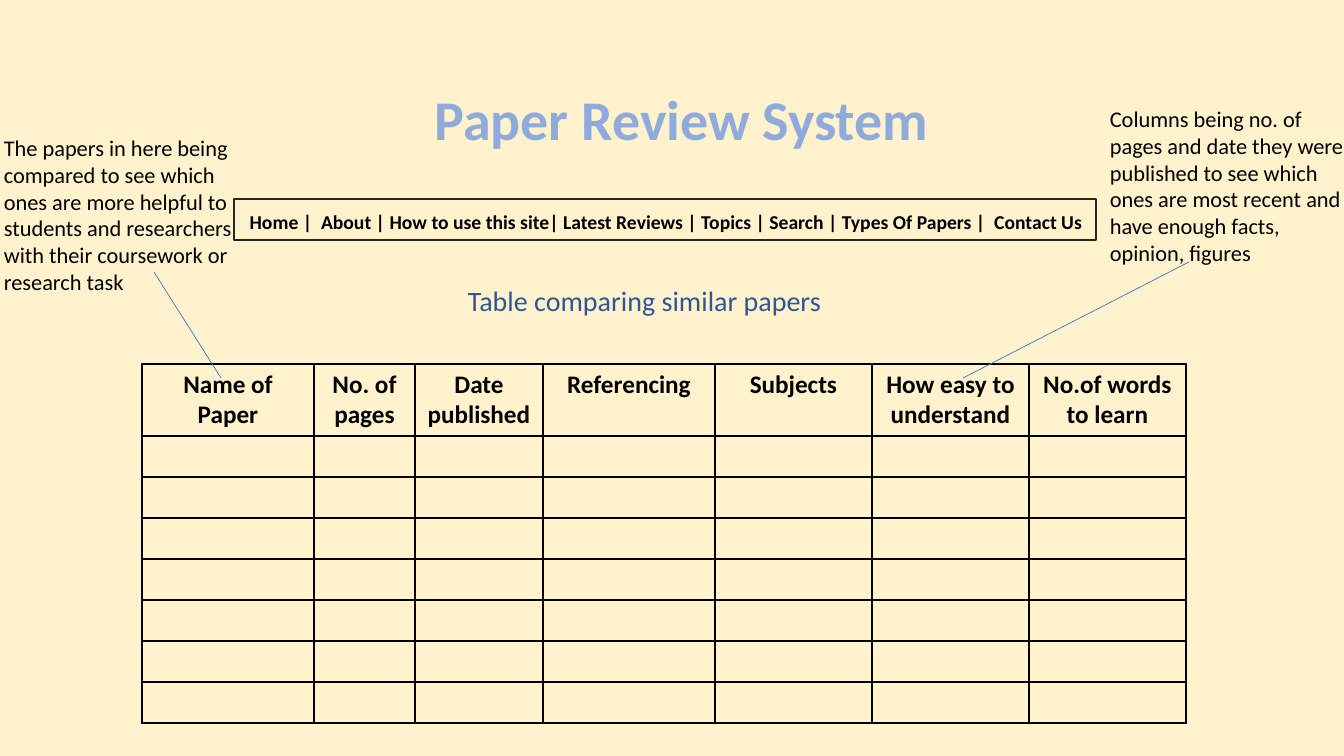
from typing import NamedTuple
from lxml import etree
from pptx import Presentation
from pptx import util as u
from pptx.dml.color import RGBColor
from pptx.enum import shapes, text
from pptx.oxml import ns

HUES = {"cream": "FFF2CC", "ink": "000000", "edge": "262626",
        "blue": "4472C4", "pale": "8FAADC", "navy": "2F5597"}
FONT = "Calibri"


class Box(NamedTuple):
    x: int
    y: int
    w: int
    h: int


class Run(NamedTuple):
    words: str
    size: int
    hue: str = "ink"
    bold: bool = False


class Label(NamedTuple):
    box: Box
    run: Run
    align: text.PP_ALIGN = text.PP_ALIGN.LEFT


class Link(NamedTuple):
    x1: int
    y1: int
    x2: int
    y2: int


class Column(NamedTuple):
    head: str
    width: int


LABELS = [
    Label(Box(1100, 100, 259, 173), Run(
        "Columns being no. of pages and date they were published to see which "
        "ones are most recent and have enough facts, opinion, figures", 16)),
    Label(Box(-6, 129, 259, 173), Run(
        "The papers in here being compared to see which ones are more helpful "
        "to students and researchers with their coursework or research task", 16)),
    Label(Box(449, 279, 391, 44), Run("Table comparing similar papers", 20, "navy"),
          text.PP_ALIGN.CENTER),
]
LINKS = [Link(963, 378, 1189, 262), Link(221, 378, 154, 272)]
COLUMNS = [
    Column("Name of Paper", 172), Column("No. of pages", 101),
    Column("Date published", 128), Column("Referencing", 172),
    Column("Subjects", 157), Column("How easy to understand", 157),
    Column("No.of words to learn", 157),
]
HEAD, ROW, BLANKS = 72, 41, 7
NAV = [Run(" ", 18),
       Run("Home |  About | How to use this site| Latest Reviews | Topics | "
           "Search | Types Of Papers |  Contact Us", 14, bold=True)]


def px(n: int) -> int:
    return round(n * 914400 / 100.8)


def rgb(hue: str) -> RGBColor:
    return RGBColor.from_string(HUES[hue])


def place(shape, box: Box) -> None:
    shape.left, shape.top, shape.width, shape.height = map(px, box)


def write(frame, runs: list[Run], align=text.PP_ALIGN.LEFT) -> None:
    frame.word_wrap = True
    par = frame.paragraphs[0]
    par.alignment = align
    for item in runs:
        run = par.add_run()
        run.text = item.words
        font = run.font
        font.name, font.size, font.bold = FONT, u.Pt(item.size), item.bold
        font.color.rgb = rgb(item.hue)


def fill(shape, hue: str) -> None:
    shape.fill.solid()
    shape.fill.fore_color.rgb = rgb(hue)


def add_title(slide) -> None:
    title = slide.shapes.title
    place(title, Box(423, 79, 517, 78))
    fill(title, "cream")
    title.text_frame.auto_size = text.MSO_AUTO_SIZE.NONE
    write(title.text_frame, [Run("Paper Review System", 40, "pale", True)],
          text.PP_ALIGN.CENTER)


def add_border(cell) -> None:
    props = cell._tc.get_or_add_tcPr()
    for side in ("a:lnL", "a:lnR", "a:lnT", "a:lnB"):
        line = etree.SubElement(props, ns.qn(side), w=str(u.Pt(1)))
        paint = etree.SubElement(line, ns.qn("a:solidFill"))
        etree.SubElement(paint, ns.qn("a:srgbClr"), val=HUES["ink"])


def add_grid(slide) -> None:
    box = Box(142, 364, sum(c.width for c in COLUMNS), HEAD + ROW * BLANKS)
    grid = slide.shapes.add_table(BLANKS + 1, len(COLUMNS), *map(px, box)).table
    grid.first_row = grid.horz_banding = False
    for col, item in zip(grid.columns, COLUMNS):
        col.width = px(item.width)
    for i, row in enumerate(grid.rows):
        row.height = px(ROW if i else HEAD)
        for cell in row.cells:
            add_border(cell)
            cell.fill.background()
    for cell, item in zip(grid.rows[0].cells, COLUMNS):
        write(cell.text_frame, [Run(item.head, 18, bold=True)], text.PP_ALIGN.CENTER)


def add_label(slide, label: Label) -> None:
    shape = slide.shapes.add_textbox(*map(px, label.box))
    write(shape.text_frame, [label.run], label.align)


def add_link(slide, link: Link) -> None:
    line = slide.shapes.add_connector(shapes.MSO_CONNECTOR.STRAIGHT, *map(px, link))
    line.line.color.rgb = rgb("blue")
    line.line.width = u.Pt(0.5)
    etree.SubElement(line._element.spPr, ns.qn("a:effectLst"))


def add_nav(slide) -> None:
    bar = slide.shapes.add_shape(shapes.MSO_SHAPE.RECTANGLE,
                                 *map(px, Box(234, 199, 862, 41)))
    bar.shadow.inherit = False
    fill(bar, "cream")
    bar.line.color.rgb = rgb("edge")
    bar.line.width = u.Pt(1)
    write(bar.text_frame, NAV)


def main() -> None:
    deck = Presentation()
    deck.slide_width, deck.slide_height = px(1344), px(756)
    slide = deck.slides.add_slide(deck.slide_layouts[5])
    fill(slide.background, "cream")
    add_title(slide)
    add_grid(slide)
    for link in LINKS:
        add_link(slide, link)
    for label in LABELS:
        add_label(slide, label)
    add_nav(slide)
    deck.save("out.pptx")


main()
